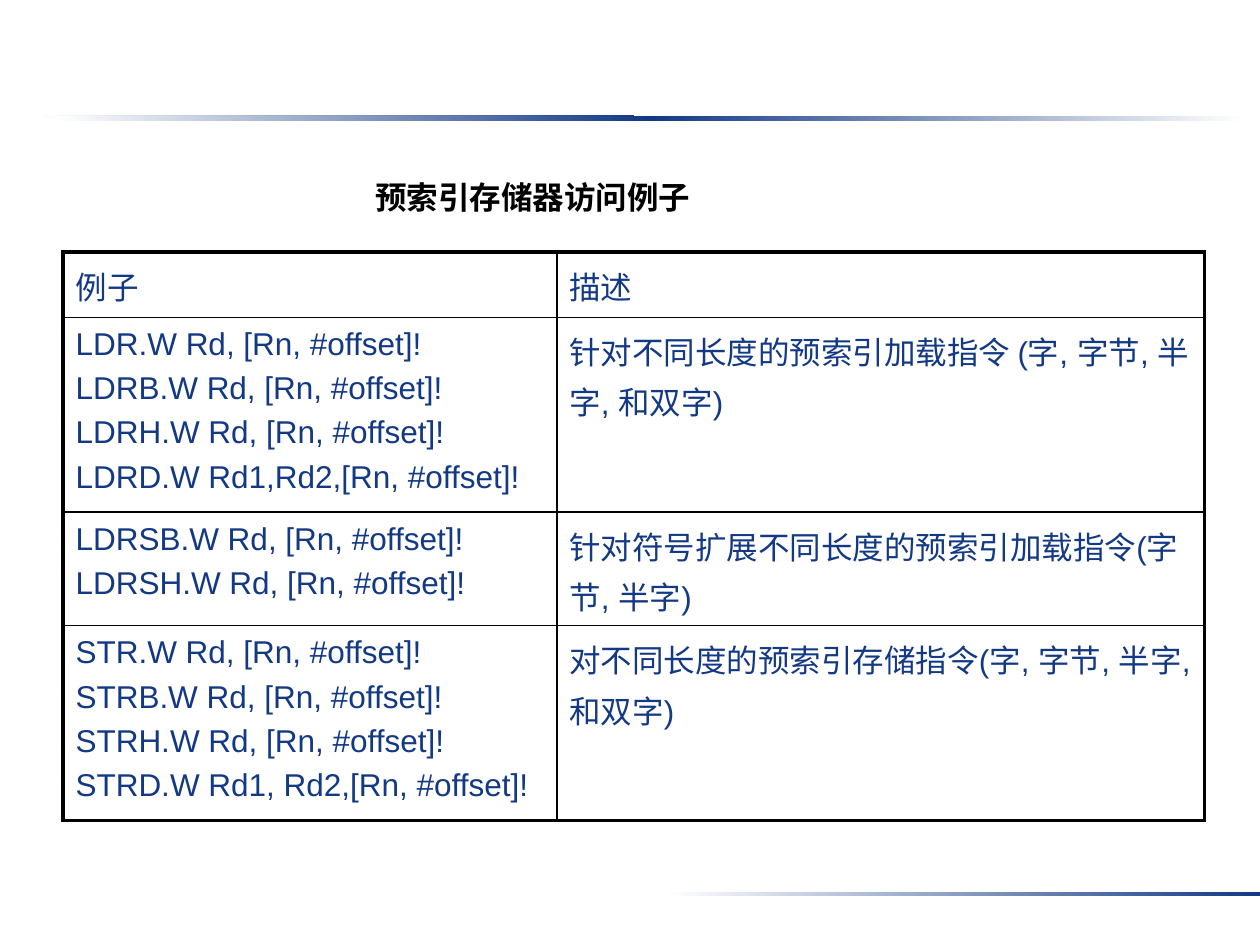
from lxml.etree import SubElement
from pptx import Presentation
from pptx.dml.color import RGBColor
from pptx.enum.shapes import MSO_SHAPE
from pptx.oxml.ns import qn
from pptx.util import Inches, Pt

COLORS = {"navy": "133984", "black": "000000", "white": "FFFFFF"}

TITLE = "预索引存储器访问例子"
ROWS = [
    (["例子"], ["描述"]),
    (["LDR.W Rd, [Rn, #offset]!", "LDRB.W Rd, [Rn, #offset]!",
      "LDRH.W Rd, [Rn, #offset]!", "LDRD.W Rd1,Rd2,[Rn, #offset]!"],
     ["针对不同长度的预索引加载指令 (字, 字节, 半字, 和双字)"]),
    (["LDRSB.W Rd, [Rn, #offset]!", "LDRSH.W Rd, [Rn, #offset]!"],
     ["针对符号扩展不同长度的预索引加载指令(字节, 半字)"]),
    (["STR.W Rd, [Rn, #offset]!", "STRB.W Rd, [Rn, #offset]!",
      "STRH.W Rd, [Rn, #offset]!", "STRD.W Rd1, Rd2,[Rn, #offset]!"],
     ["对不同长度的预索引存储指令(字, 字节, 半字, 和双字)"]),
]
COLUMN_WIDTHS = [3.92, 5.14]
ROW_HEIGHTS = [0.52, 1.48, 0.9, 1.47]

# left, top, height, colour at the left end, colour at the right end
BAR_WIDTH = 4.72
BARS = [
    (0.31, 0.91, 0.03, "white", "navy"),
    (5.28, 7.08, 0.03, "white", "navy"),
    (0.44, 0.92, 0.04, "white", "navy"),
    (0.44 + BAR_WIDTH, 0.92, 0.04, "navy", "white"),
]
OUTER_LINE, INNER_LINE = 2.25, 1


def rgb(name):
    return RGBColor.from_string(COLORS[name])


def add_bar(page, left, top, height, start, end):
    bar = page.shapes.add_shape(MSO_SHAPE.RECTANGLE, Inches(left), Inches(top),
                                Inches(BAR_WIDTH), Inches(height))
    bar.shadow.inherit = False
    bar.line.fill.background()
    bar.fill.gradient()
    bar.fill.gradient_angle = 0
    for stop, name in zip(bar.fill.gradient_stops, (start, end)):
        stop.color.rgb = rgb(name)


def write(frame, lines, color, spacing, bold=False):
    frame.word_wrap = True
    font_format = {"name": "Arial", "size": Pt(18), "bold": bold}
    for index, line in enumerate(lines):
        para = frame.add_paragraph() if index else frame.paragraphs[0]
        para.line_spacing = spacing
        para.space_before = Pt(3 if index else 0)
        span = para.add_run()
        span.text = line
        for name, value in font_format.items():
            setattr(span.font, name, value)
        span.font.color.rgb = rgb(color)


def add_borders(cell, row, column):
    outside = {
        "lnL": column == 0,
        "lnR": column == len(COLUMN_WIDTHS) - 1,
        "lnT": row == 0,
        "lnB": row == len(ROWS) - 1,
    }
    properties = cell._tc.get_or_add_tcPr()
    for side, is_outside in outside.items():
        width = Pt(OUTER_LINE if is_outside else INNER_LINE)
        border = SubElement(properties, qn(f"a:{side}"), w=str(width))
        fill = SubElement(border, qn("a:solidFill"))
        SubElement(fill, qn("a:srgbClr"), val=COLORS["black"])


def add_instruction_table(page):
    table = page.shapes.add_table(
        len(ROWS), len(COLUMN_WIDTHS), Inches(0.5), Inches(2),
        Inches(sum(COLUMN_WIDTHS)), Inches(sum(ROW_HEIGHTS))).table
    table.first_row = table.horz_banding = False
    for column, width in zip(table.columns, COLUMN_WIDTHS):
        column.width = Inches(width)
    for row, height in zip(table.rows, ROW_HEIGHTS):
        row.height = Inches(height)
    for row, contents in enumerate(ROWS):
        for column, lines in enumerate(contents):
            cell = table.cell(row, column)
            add_borders(cell, row, column)
            cell.fill.background()
            write(cell.text_frame, lines, "navy", 1.1)


def main():
    deck = Presentation()
    deck.slide_width, deck.slide_height = Inches(10), Inches(7.5)
    page = deck.slides.add_slide(deck.slide_layouts[6])
    for bar in BARS:
        add_bar(page, *bar)
    box = page.shapes.add_textbox(Inches(1.58), Inches(1.42),
                                  Inches(6.85), Inches(0.43))
    write(box.text_frame, [TITLE], "black", 0.8, bold=True)
    indent = box.text_frame.paragraphs[0]._p.get_or_add_pPr()
    indent.set("marL", str(Inches(1.3)))
    add_instruction_table(page)
    deck.save("out.pptx")


if __name__ == "__main__":
    main()
